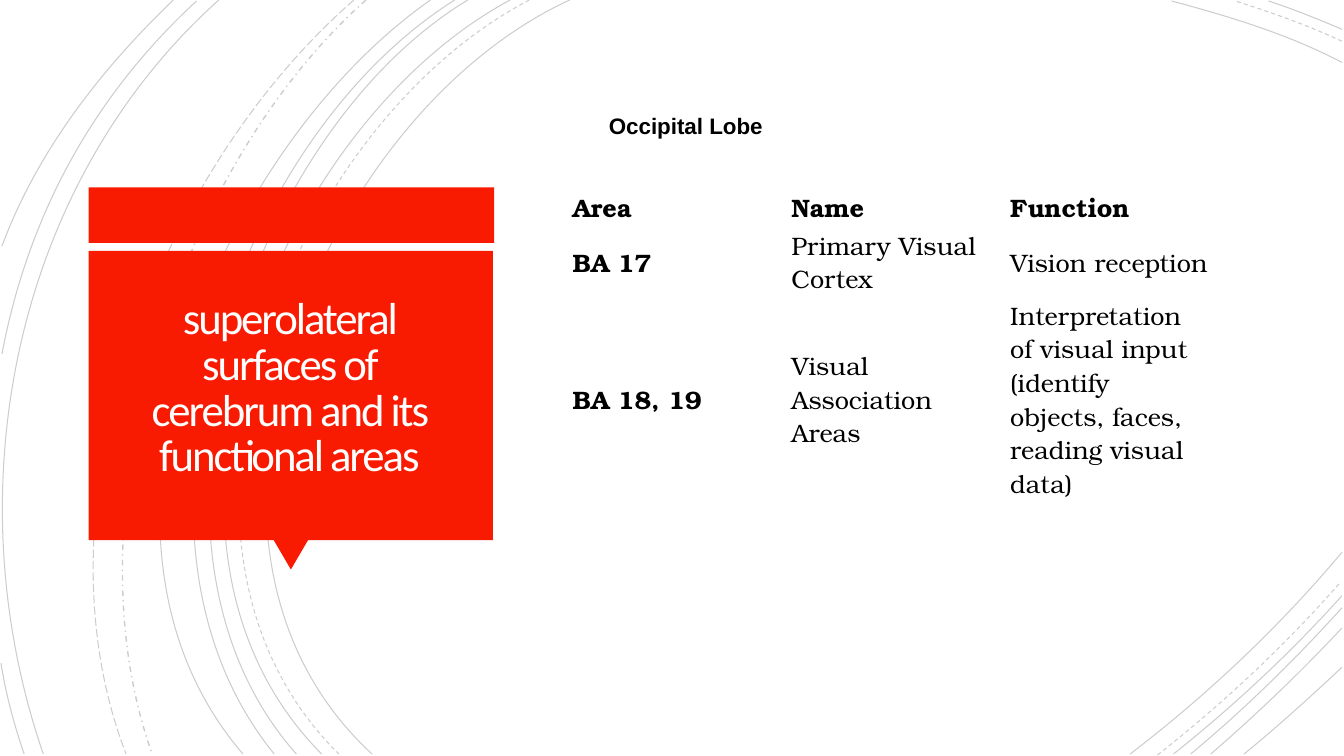
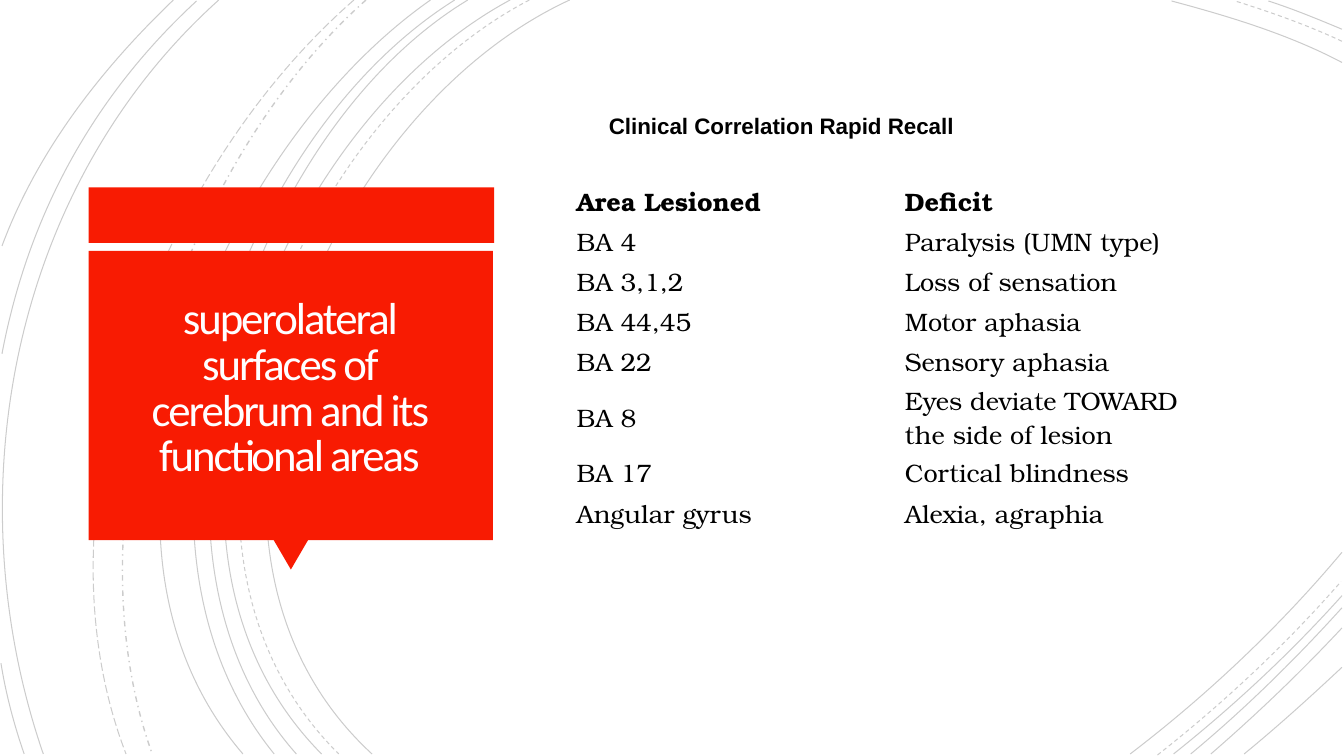
from pptx import Presentation
from pptx.dml.color import RGBColor
from pptx.enum.dml import MSO_LINE
from pptx.enum.shapes import MSO_SHAPE
from pptx.enum.text import MSO_ANCHOR, PP_ALIGN
from pptx.oxml.ns import qn
from pptx.util import Inches, Pt
from lxml import etree

SOLID, DASH = MSO_LINE.SOLID, MSO_LINE.DASH
DASH_DOT, LONG_DASH = MSO_LINE.DASH_DOT, MSO_LINE.LONG_DASH
RECTANGLE, TRIANGLE = MSO_SHAPE.RECTANGLE, MSO_SHAPE.ISOSCELES_TRIANGLE
TOP, MIDDLE = MSO_ANCHOR.TOP, MSO_ANCHOR.MIDDLE
LEFT, CENTER = PP_ALIGN.LEFT, PP_ALIGN.CENTER
NO_GRID_STYLE = "{2D5ABB26-0587-4C30-8999-92F81FD0307C}"

THEME = {
    "accent": RGBColor(0xF8, 0x1B, 0x02),
    "ink": RGBColor(0, 0, 0),
    "arc_opacity": "20000",
    "title": {"name": "Calibri", "size": Pt(32), "bold": False, "color": RGBColor(0xFF, 0xFE, 0xFF)},
    "heading": {"name": "Arial", "size": Pt(16), "bold": True, "color": RGBColor(0, 0, 0)},
    "table_head": {"name": "TeX Gyre Bonum", "size": Pt(18), "bold": True, "color": RGBColor(0, 0, 0)},
    "table_body": {"name": "TeX Gyre Bonum", "size": Pt(18), "bold": False, "color": RGBColor(0, 0, 0)},
}

TITLE = "superolateral surfaces of cerebrum and its functional areas"

ARCS = [
    (SOLID, 0.75, [(5.65, 0), (3.15, 1.15), (1.43, 5.4), (3.69, 7.48)]),
    (SOLID, 0.75, [(13.31, 0.62), (12.78, 0.34), (12.18, 0.16), (11.62, 0.01)]),
    (SOLID, 0.75, [(11.21, 7.48), (11.97, 6.9), (12.69, 6.22), (13.31, 5.48)]),
    (DASH, 0.75, [(5.25, 0), (2.85, 1.25), (1.23, 5.37), (3.36, 7.48)]),
    (DASH, 0.75, [(13.31, 0.41), (12.97, 0.25), (12.6, 0.12), (12.25, 0.01)]),
    (DASH, 0.75, [(11.48, 7.49), (12.13, 6.98), (12.75, 6.4), (13.3, 5.77)]),
    (SOLID, 0.75, [(5.06, 0), (2.7, 1.27), (1.1, 5.37), (3.19, 7.48)]),
    (SOLID, 0.75, [(13.31, 0.29), (13.07, 0.19), (12.83, 0.09), (12.58, 0.01)]),
    (SOLID, 0.75, [(11.64, 7.48), (12.23, 7.01), (12.8, 6.48), (13.31, 5.91)]),
    (SOLID, 0.75, [(4.64, 0), (2.44, 1.33), (1.1, 5.41), (2.94, 7.48)]),
    (SOLID, 0.75, [(11.81, 7.48), (12.34, 7.04), (12.84, 6.55), (13.31, 6.03)]),
    (SOLID, 0.75, [(4.51, 0), (2.31, 1.38), (0.97, 5.33), (2.72, 7.48)]),
    (SOLID, 0.75, [(12.01, 7.48), (12.46, 7.09), (12.9, 6.67), (13.31, 6.23)]),
    (SOLID, 0.75, [(4.27, 0), (2.17, 1.47), (0.53, 5.29), (2.41, 7.48)]),
    (SOLID, 0.75, [(12.34, 7.48), (12.67, 7.21), (12.99, 6.92), (13.31, 6.62)]),
    (DASH_DOT, 1, [(3.63, 0), (1.76, 1.66), (0.65, 5.09), (1.51, 7.48)]),
    (LONG_DASH, 0.75, [(3.51, 0), (1.57, 1.69), (0.29, 4.99), (1.25, 7.48)]),
    (SOLID, 0.75, [(2.17, 0), (0.11, 1.85), (-0.46, 4.9), (0.43, 7.48)]),
    (SOLID, 0.75, [(1.95, 0.01), (0.92, 0.96), (0.28, 2.14), (0.02, 3.51)]),
    (SOLID, 0.75, [(0.01, 6.58), (0.06, 6.89), (0.14, 7.19), (0.24, 7.48)]),
    (SOLID, 0.75, [(1.72, 0), (1, 0.69), (0.37, 1.5), (0.02, 2.44)]),
]

PANEL = [
    (RECTANGLE, 0, (0.88, 1.86, 4.02, 0.55)),
    (TRIANGLE, 180, (2.71, 5.35, 0.35, 0.3)),
    (RECTANGLE, 0, (0.88, 2.49, 4.01, 2.87)),
]

SLIDES = [
    {
        "heading": "Occipital Lobe",
        "heading_width": 1.75,
        "table_at": (5.58, 1.85),
        "row_heights": [0.4, 0.7, 2.02],
        "bold_first_column": True,
        "rows": [
            ("Area", "Name", "Function"),
            ("BA 17", "Primary Visual Cortex", "Vision reception"),
            ("BA 18, 19", "Visual Association Areas",
             "Interpretation of visual input (identify objects, faces, reading visual data)"),
        ],
    },
    {
        "heading": "Clinical Correlation Rapid Recall",
        "heading_width": 3.67,
        "table_at": (5.62, 1.79),
        "row_heights": [0.4] * 5 + [0.7] + [0.4] * 2,
        "bold_first_column": False,
        "rows": [
            ("Area Lesioned", "Deficit"),
            ("BA 4", "Paralysis (UMN type)"),
            ("BA 3,1,2", "Loss of sensation"),
            ("BA 44,45", "Motor aphasia"),
            ("BA 22", "Sensory aphasia"),
            ("BA 8", "Eyes deviate TOWARD the side of lesion"),
            ("BA 17", "Cortical blindness"),
            ("Angular gyrus", "Alexia, agraphia"),
        ],
    },
]
TABLE_WIDTH = 6.51
CELL_FORMAT = {"vertical_anchor": MIDDLE, "margin_top": Inches(0), "margin_bottom": Inches(0)}


def write_text(text_frame, text, style, alignment=LEFT):
    paragraph = text_frame.paragraphs[0]
    paragraph.alignment = alignment
    run = paragraph.add_run()
    run.text = text
    for name, value in THEME[style].items():
        if name == "color":
            run.font.color.rgb = value
        else:
            setattr(run.font, name, value)
    return paragraph


def draw_arc(slide, dash, width, points):
    start, *others = [(Inches(x), Inches(y)) for x, y in points]
    builder = slide.shapes.build_freeform(*start)
    builder.add_line_segments(others, close=False)
    arc = builder.convert_to_shape()
    arc.shadow.inherit = False
    arc.fill.background()
    arc.line.color.rgb = THEME["ink"]
    arc.line.width = Pt(width)
    arc.line.dash_style = dash
    color = arc.line._get_or_add_ln().find(".//" + qn("a:srgbClr"))
    etree.SubElement(color, qn("a:alpha"), val=THEME["arc_opacity"])
    outline = arc._element.find(".//" + qn("a:path"))
    curve = etree.SubElement(outline, qn("a:cubicBezTo"))
    for segment in outline.findall(qn("a:lnTo")):
        curve.append(segment[0])
        outline.remove(segment)


presentation = Presentation()
presentation.slide_width = Inches(13.33)
presentation.slide_height = Inches(7.5)

for content in SLIDES:
    slide = presentation.slides.add_slide(presentation.slide_layouts[6])

    for dash, width, points in ARCS:
        draw_arc(slide, dash, width, points)

    for kind, rotation, box in PANEL:
        shape = slide.shapes.add_shape(kind, *map(Inches, box))
        shape.rotation = rotation
        shape.shadow.inherit = False
        shape.fill.solid()
        shape.fill.fore_color.rgb = THEME["accent"]
        shape.line.fill.background()

    title = slide.shapes.add_textbox(*map(Inches, (0.97, 2.47, 3.8, 2.79))).text_frame
    title_format = {"word_wrap": True, "vertical_anchor": MIDDLE}
    for side in ("left", "top", "right", "bottom"):
        title_format["margin_" + side] = Inches(0.25)
    for name, value in title_format.items():
        setattr(title, name, value)
    paragraph = write_text(title, TITLE, "title", CENTER)
    paragraph.line_spacing = 0.85
    paragraph.runs[0].font._element.set("spc", "-150")

    heading = slide.shapes.add_textbox(
        Inches(5.94), Inches(1.06), Inches(content["heading_width"]), Inches(0.37)).text_frame
    heading.word_wrap = False
    heading.vertical_anchor = TOP
    write_text(heading, content["heading"], "heading")

    rows, heights = content["rows"], content["row_heights"]
    column_count = len(rows[0])
    left, top = content["table_at"]
    table = slide.shapes.add_table(
        len(rows), column_count, Inches(left), Inches(top),
        Inches(TABLE_WIDTH), Inches(sum(heights))).table
    table.first_row = False
    table.horz_banding = False
    table._tbl.find(".//" + qn("a:tableStyleId")).text = NO_GRID_STYLE
    for column in table.columns:
        column.width = Inches(TABLE_WIDTH / column_count)
    for row_index, (texts, height) in enumerate(zip(rows, heights)):
        table.rows[row_index].height = Inches(height)
        for column_index, text in enumerate(texts):
            cell = table.cell(row_index, column_index)
            cell.fill.background()
            for name, value in CELL_FORMAT.items():
                setattr(cell, name, value)
            strong = row_index == 0 or (column_index == 0 and content["bold_first_column"])
            write_text(cell.text_frame, text, "table_head" if strong else "table_body")

presentation.save("out.pptx")
